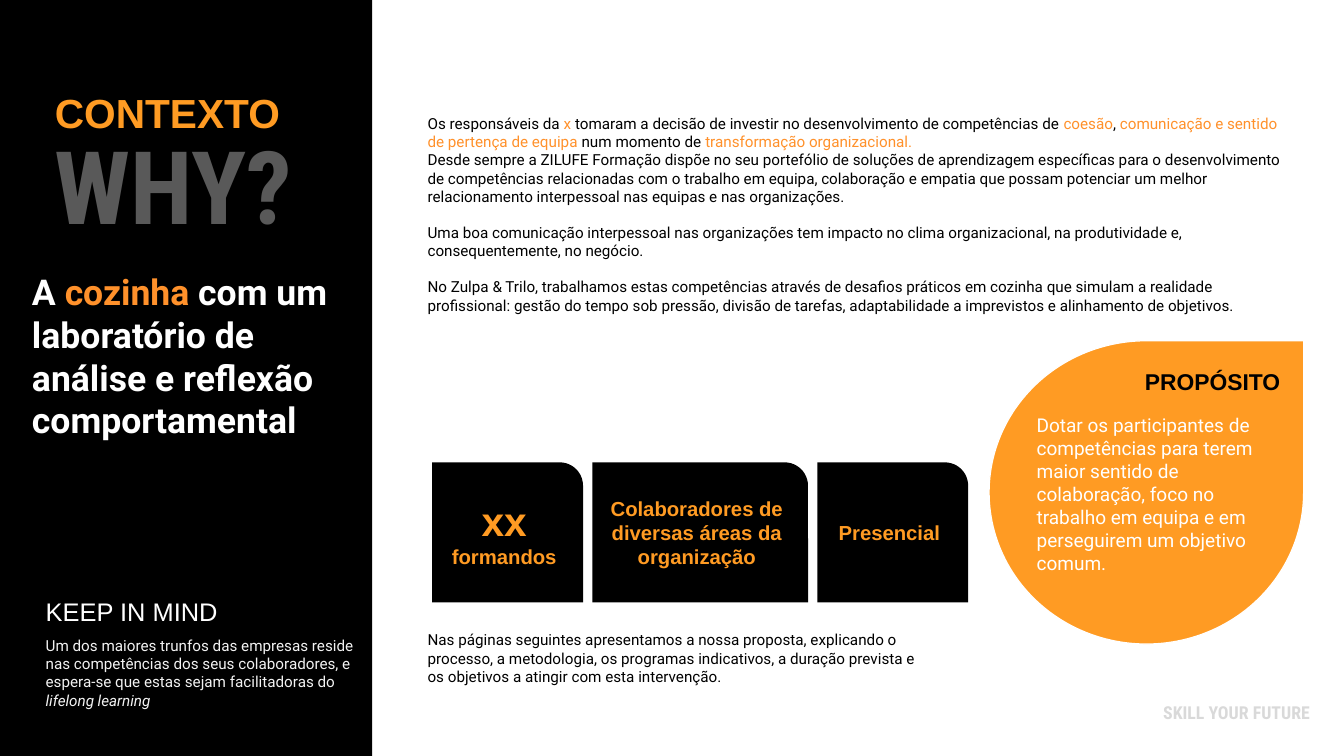
from dataclasses import dataclass

from pptx import Presentation
from pptx.dml.color import RGBColor
from pptx.enum.shapes import MSO_SHAPE
from pptx.enum.text import MSO_ANCHOR, MSO_AUTO_SIZE, PP_ALIGN
from pptx.shapes.autoshape import Shape
from pptx.slide import Slide
from pptx.text.text import TextFrame
from pptx.util import Cm, Pt

BLACK, WHITE, ORANGE, ACCENT = "000000", "FFFFFF", "FF9B23", "FF912B"
HEADING, READING, CONDENSED = "Arial", "Roboto", "Roboto Condensed"


@dataclass(frozen=True)
class Box:
    left: float
    top: float
    width: float
    height: float

    def lengths(self) -> tuple[Cm, Cm, Cm, Cm]:
        return Cm(self.left), Cm(self.top), Cm(self.width), Cm(self.height)


@dataclass(frozen=True)
class Piece:
    text: str
    color: str | None = None
    italic: bool = False


@dataclass(frozen=True)
class Para:
    pieces: tuple[Piece, ...]
    size: float = 12
    font: str = READING
    color: str = BLACK
    bold: bool = False
    align: PP_ALIGN = PP_ALIGN.LEFT
    before: float = 0


@dataclass(frozen=True)
class Passage:
    box: Box
    paras: tuple[Para, ...]


@dataclass(frozen=True)
class Card:
    width: float
    lines: tuple[tuple[str, int], ...]


def rgb(color: str) -> RGBColor:
    return RGBColor.from_string(color)


def plain(text: str, *style, **more) -> Para:
    return Para((Piece(text),), *style, **more)


def write(frame: TextFrame, paras: tuple[Para, ...]) -> None:
    frame.word_wrap = True
    for index, para in enumerate(paras):
        paragraph = frame.add_paragraph() if index else frame.paragraphs[0]
        paragraph.alignment = para.align
        paragraph.space_before = Pt(para.before)
        font = paragraph.font
        font.name, font.size, font.bold = para.font, Pt(para.size), para.bold
        uniform = all(piece.color is None for piece in para.pieces)
        if uniform:
            font.color.rgb = rgb(para.color)
        for piece in para.pieces:
            run = paragraph.add_run()
            run.text = piece.text
            if not uniform:
                run.font.color.rgb = rgb(piece.color or para.color)
            if piece.italic:
                run.font.italic = True


def add_passage(slide: Slide, passage: Passage) -> None:
    write(slide.shapes.add_textbox(*passage.box.lengths()).text_frame, passage.paras)


def add_block(slide: Slide, kind: MSO_SHAPE, box: Box, fill: str) -> Shape:
    block = slide.shapes.add_shape(kind, *box.lengths())
    block.shadow.inherit = False
    block.fill.solid()
    block.fill.fore_color.rgb = rgb(fill)
    block.line.fill.background()
    return block


def set_title(slide: Slide, box: Box, para: Para) -> None:
    title = slide.shapes.title
    title.left, title.top, title.width, title.height = box.lengths()
    title.text_frame.auto_size = MSO_AUTO_SIZE.NONE
    title.text_frame.vertical_anchor = MSO_ANCHOR.TOP
    write(title.text_frame, (para,))


def add_cards(slide: Slide, cards: tuple[Card, ...]) -> None:
    left, top, height, gap = 12.01, 12.85, 3.89, 0.26
    for card in cards:
        block = add_block(slide, MSO_SHAPE.ROUND_1_RECTANGLE, Box(left, top, card.width, height), BLACK)
        block.text_frame.vertical_anchor = MSO_ANCHOR.MIDDLE
        write(block.text_frame, tuple(
            plain(text, size, HEADING, ORANGE, True, PP_ALIGN.CENTER) for text, size in card.lines))
        left += card.width + gap


CONTEXT = (
    Para((
        Piece("Os responsáveis da "),
        Piece("x", ACCENT),
        Piece(" tomaram a decisão de investir no desenvolvimento de competências de "),
        Piece("coesão", ACCENT),
        Piece(", "),
        Piece("comunicação e sentido de pertença de equipa", ACCENT),
        Piece(" num momento de "),
        Piece("transformação organizacional.", ACCENT),
    )),
    plain("Desde sempre a ZILUFE Formação dispõe no seu portefólio de soluções de aprendizagem "
          "específicas para o desenvolvimento de competências relacionadas com o trabalho em equipa, "
          "colaboração e empatia que possam potenciar um melhor relacionamento interpessoal nas "
          "equipas e nas organizações."),
    plain("Uma boa comunicação interpessoal nas organizações tem impacto no clima organizacional, "
          "na produtividade e, consequentemente, no negócio.", before=14),
    plain("No Zulpa & Trilo, trabalhamos estas competências através de desafios práticos em cozinha "
          "que simulam a realidade profissional: gestão do tempo sob pressão, divisão de tarefas, "
          "adaptabilidade a imprevistos e alinhamento de objetivos.", before=14),
)

HEADLINE = Para((
    Piece("A "),
    Piece("cozinha", ACCENT),
    Piece(" com um laboratório de análise e reflexão comportamental"),
), 28, READING, WHITE, True)

REMINDER = Para((
    Piece("Um dos maiores trunfos das empresas reside nas competências dos seus colaboradores, "
          "e espera-se que estas sejam facilitadoras do "),
    Piece("lifelong learning", italic=True),
), color="F2F2F2")

NEXT_PAGES = plain("Nas páginas seguintes apresentamos a nossa proposta, explicando o processo, "
                   "a metodologia, os programas indicativos, a duração prevista e os objetivos "
                   "a atingir com esta intervenção.")

PURPOSE = plain("Dotar os participantes de competências para terem maior sentido de colaboração, "
                "foco no trabalho em equipa e em perseguirem um objetivo comum.", 15, READING, WHITE)

PASSAGES = (
    Passage(Box(30.99, 19.38, 5.66, 0.86),
            (plain("SKILL YOUR FUTURE", 14, CONDENSED, "D9D9D9", True, PP_ALIGN.RIGHT),)),
    Passage(Box(11.63, 3.05, 24.43, 5.89), CONTEXT),
    Passage(Box(0.64, 7.39, 9.14, 5.05), (HEADLINE,)),
    Passage(Box(1.27, 3.3, 8.74, 3.68), (plain("WHY?", 80, CONDENSED, "595959", True),)),
    Passage(Box(1.02, 17.55, 9.14, 2.31), (REMINDER,)),
    Passage(Box(1.02, 16.43, 7.54, 1.12), (plain("KEEP IN MIND", 20, HEADING, WHITE),)),
    Passage(Box(11.63, 17.4, 14.48, 1.8), (NEXT_PAGES,)),
    Passage(Box(31.56, 10.1, 4.55, 1.32), (plain("PROPÓSITO", 18, HEADING, BLACK, True),)),
    Passage(Box(28.55, 11.38, 7.14, 4.75), (PURPOSE,)),
)

CARDS = (
    Card(4.19, (("xx", 32), ("formandos", 16))),
    Card(5.99, (("Colaboradores de diversas áreas da organização", 16),)),
    Card(4.19, (("Presencial", 16),)),
)


def main() -> None:
    deck = Presentation()
    deck.slide_width, deck.slide_height = Cm(37.34), Cm(21.01)
    slide = deck.slides.add_slide(deck.slide_layouts[5])

    side_panel = add_block(slide, MSO_SHAPE.RECTANGLE, Box(0, 0, 10.34, 21.01), BLACK)
    slide.shapes.title.element.addprevious(side_panel.element)
    set_title(slide, Box(1.27, 2.31, 8.36, 1.63), plain("CONTEXTO", 32, HEADING, ORANGE, True))

    purpose_drop = add_block(slide, MSO_SHAPE.TEAR, Box(27.48, 9.47, 8.74, 8.43), ORANGE)
    purpose_drop.line.color.rgb = rgb(WHITE)
    purpose_drop.line.width = Pt(1)

    for passage in PASSAGES:
        add_passage(slide, passage)
    add_cards(slide, CARDS)
    deck.save("out.pptx")


if __name__ == "__main__":
    main()
